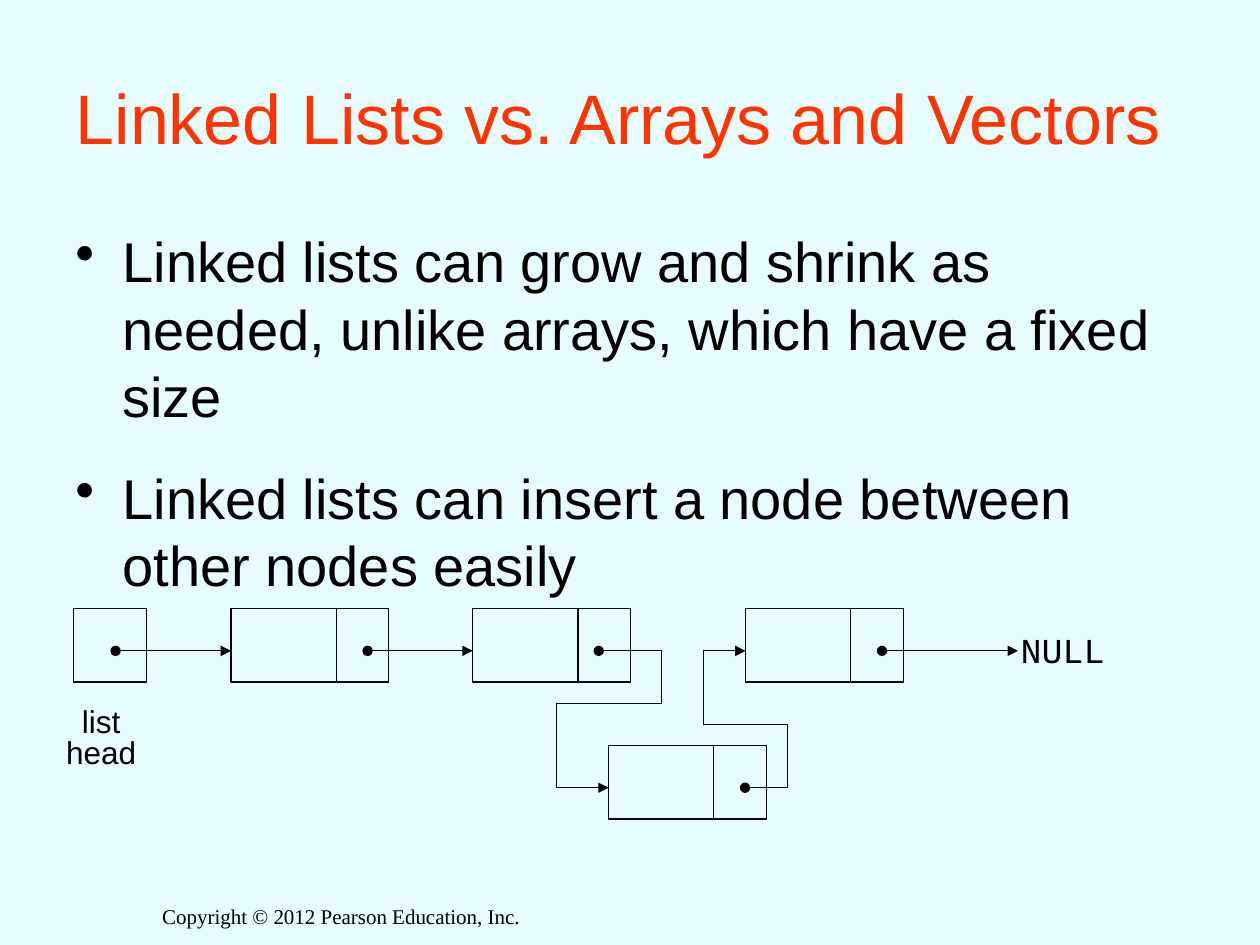
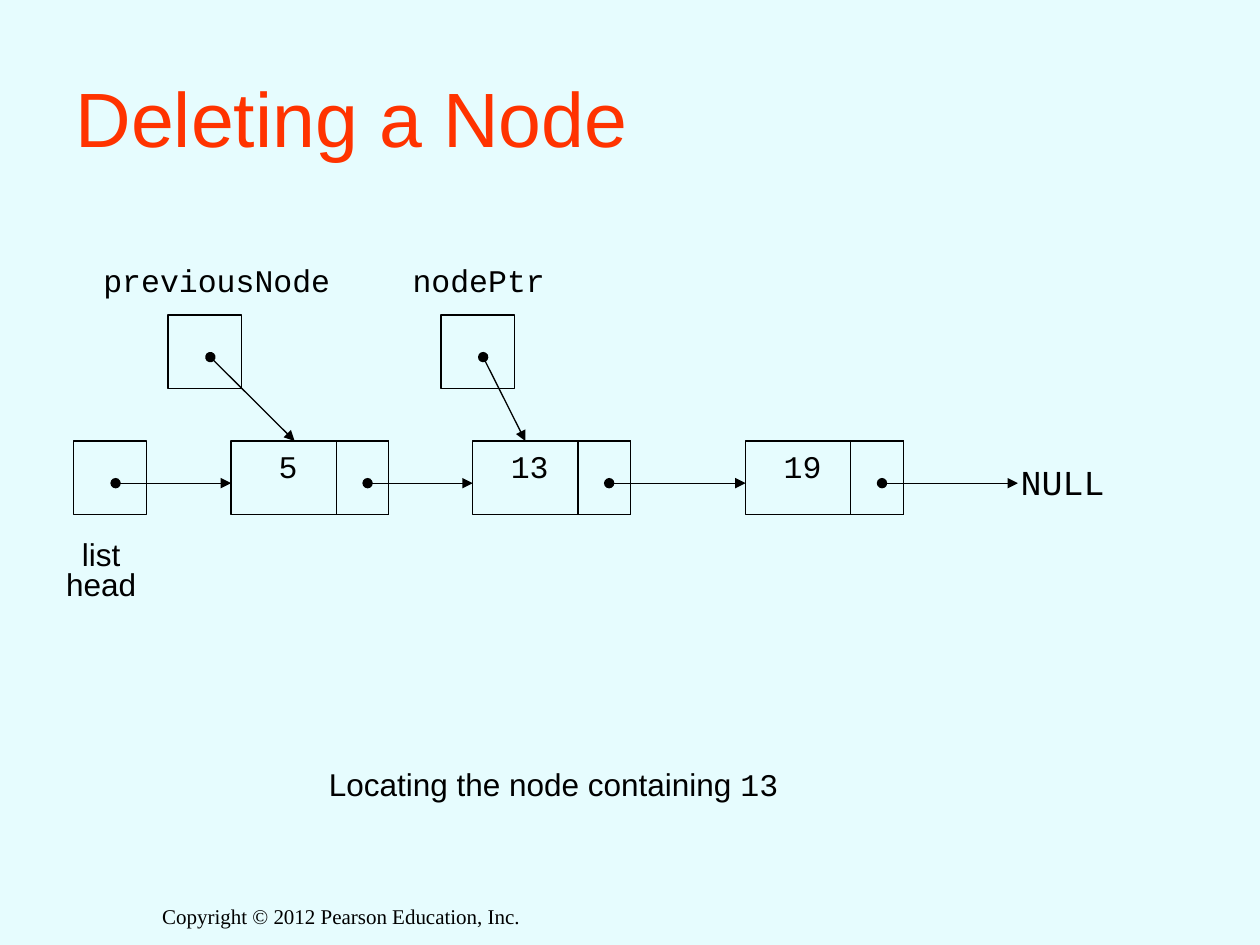
import itertools

import pptx
import pptx.dml.color
import pptx.enum.shapes
import pptx.enum.text
import pptx.oxml.ns
import pptx.util
from lxml import etree
from pptx.util import Cm

# Shared look
BACKGROUND, TITLE_COLOR, INK = "E6FCFE", "FF3300", "000000"
SANS, MONO, SERIF = "Arial", "Courier New", "Times New Roman"
LEFT = pptx.enum.text.PP_ALIGN.LEFT
CENTER = pptx.enum.text.PP_ALIGN.CENTER

# Node geometry in centimetres
CELL = 1.48             # height of every node, side of a pointer box
NODE_WIDTH = 3.18
DATA_WIDTH = 2.12
ARROW_DROP = 0.85       # from a node's top to its arrow
DOT_IN_BOX = 0.85
DOT_IN_NODE = 2.75
HEAD_LEFT = 1.48
NODE_LEFTS = [4.66, 9.53, 15.03]
NULL_LEFT = 20.32


def color(hex_string):
    return pptx.dml.color.RGBColor.from_string(hex_string)


def add_element(parent, tag, **attributes):
    return etree.SubElement(parent, pptx.oxml.ns.qn(tag), attributes)


def add_run(paragraph, text, size, font=SANS, hex_color=INK):
    run = paragraph.add_run()
    run.text = text
    run.font.size = pptx.util.Pt(size)
    run.font.name = font
    run.font.color.rgb = color(hex_color)


def add_label(slide, left, top, width, height, lines, size=18, font=SANS,
              align=CENTER, spacing=1.0, wrap=False):
    """Each line is a string, or a list of (text, font) runs."""
    frame = slide.shapes.add_textbox(Cm(left), Cm(top), Cm(width), Cm(height)).text_frame
    frame.word_wrap = wrap
    for index, line in enumerate(lines):
        paragraph = frame.add_paragraph() if index else frame.paragraphs[0]
        paragraph.alignment = align
        paragraph.line_spacing = spacing
        runs = [(line, font)] if isinstance(line, str) else line
        for text, run_font in runs:
            add_run(paragraph, text, size, run_font)
    return frame


def add_bullets(slide, left, top, width, height, items):
    frame = add_label(slide, left, top, width, height, items, size=32,
                      align=LEFT, wrap=True)
    for index, paragraph in enumerate(frame.paragraphs):
        if index:
            paragraph.space_before = pptx.util.Pt(20)
        properties = paragraph._p.get_or_add_pPr()
        properties.set("marL", str(Cm(0.95)))
        properties.set("indent", str(-Cm(0.95)))
        add_element(properties, "a:buChar", char="•")


def add_box(slide, left, top, width=CELL):
    box = slide.shapes.add_shape(pptx.enum.shapes.MSO_SHAPE.RECTANGLE,
                                 Cm(left), Cm(top), Cm(width), Cm(CELL))
    box.shadow.inherit = False
    box.fill.background()
    box.line.color.rgb = color(INK)
    box.line.width = pptx.util.Pt(0.75)


def add_node(slide, left, top, value=None):
    add_box(slide, left, top, NODE_WIDTH)
    add_box(slide, left + DATA_WIDTH, top, NODE_WIDTH - DATA_WIDTH)
    if value:
        add_label(slide, left + 0.09, top, DATA_WIDTH, 1.02, [value], font=MONO)


def add_arrow(slide, *points):
    """Line through the points, with a dot at the start and an arrowhead at the end."""
    segments = list(itertools.pairwise(points))
    for index, (start, end) in enumerate(segments):
        connector = slide.shapes.add_connector(
            pptx.enum.shapes.MSO_CONNECTOR.STRAIGHT, *map(Cm, start + end))
        connector.line.color.rgb = color(INK)
        connector.line.width = pptx.util.Pt(0.75)
        line = connector.line._get_or_add_ln()
        if index == 0:
            add_element(line, "a:headEnd", type="oval")
        if index == len(segments) - 1:
            add_element(line, "a:tailEnd", type="triangle")
        add_element(connector._element.spPr, "a:effectLst")


def add_list_row(slide, top, values):
    """List head, three nodes and NULL, with the arrows both diagrams share."""
    level = top + ARROW_DROP
    first, second, last = NODE_LEFTS
    add_box(slide, HEAD_LEFT, top)
    for left, value in zip(NODE_LEFTS, values):
        add_node(slide, left, top, value)
    add_arrow(slide, (HEAD_LEFT + DOT_IN_BOX, level), (first, level))
    add_arrow(slide, (first + DOT_IN_NODE, level), (second, level))
    add_arrow(slide, (last + DOT_IN_NODE, level), (NULL_LEFT + 0.2, level))
    add_label(slide, NULL_LEFT, top + 0.1, 2.21, 1.27, ["NULL"], size=20,
              font=MONO, spacing=1.2)
    add_label(slide, 0.79, top + 1.91, 2.5, 1.48, ["list", "head"], spacing=0.8)


def add_pointer(slide, name, left, top, target, name_left):
    """Named pointer box with an arrow to the target point."""
    add_box(slide, left, top)
    add_arrow(slide, (left + DOT_IN_BOX, top + ARROW_DROP), target)
    add_label(slide, name_left, top - 1.06, 5.08, 0.86, [name], font=MONO, spacing=0.8)


def add_titled_slide(presentation, title, size):
    slide = presentation.slides.add_slide(presentation.slide_layouts.get_by_name("Title Only"))
    shape = slide.shapes.title
    shape.left, shape.top, shape.width, shape.height = map(Cm, (1.27, 0.76, 22.86, 3.18))
    shape.text_frame.vertical_anchor = pptx.enum.text.MSO_ANCHOR.MIDDLE
    paragraph = shape.text_frame.paragraphs[0]
    paragraph.alignment = LEFT
    add_run(paragraph, title, size, hex_color=TITLE_COLOR)
    add_label(slide, 2.75, 18.08, 8.26, 0.8, ["Copyright © 2012 Pearson Education, Inc."],
              size=12, font=SERIF, wrap=True)
    return slide


def build_comparison(presentation):
    slide = add_titled_slide(presentation, "Linked Lists vs. Arrays and Vectors", 40)
    add_bullets(slide, 1.27, 4.45, 23.06, 7.82, [
        "Linked lists can grow and shrink as needed, unlike arrays, which have a fixed size",
        "Linked lists can insert a node between other nodes easily",
    ])
    top = 12.27
    add_list_row(slide, top, [None] * 3)

    # Inserted node, with arrows bent around it
    inserted_left, inserted_top = 12.27, 15.03
    add_node(slide, inserted_left, inserted_top)
    level, inserted_level = top + ARROW_DROP, inserted_top + ARROW_DROP
    _, second, last = NODE_LEFTS
    add_arrow(slide, (second + 2.54, level), (13.34, level), (13.34, 14.18),
              (11.22, 14.18), (11.22, inserted_level), (inserted_left, inserted_level))
    add_arrow(slide, (inserted_left + DOT_IN_NODE, inserted_level), (15.88, inserted_level),
              (15.88, 14.6), (14.18, 14.6), (14.18, level), (last, level))


def build_deletion(presentation):
    slide = add_titled_slide(presentation, "Deleting a Node", 44)
    top = 8.89
    add_list_row(slide, top, ["5", "13", "19"])
    _, second, last = NODE_LEFTS
    level = top + ARROW_DROP
    add_arrow(slide, (second + DOT_IN_NODE, level), (last, level))

    # Traversal pointers and caption
    add_pointer(slide, "previousNode", 3.39, 6.35, (5.94, top), name_left=1.83)
    add_pointer(slide, "nodePtr", 8.89, 6.35, (10.59, top), name_left=7.11)
    add_label(slide, 6.38, 15.29, 11, 1.02,
              [[("Locating the node containing ", SANS), ("13", MONO)]],
              align=LEFT, wrap=True)


def main():
    presentation = pptx.Presentation()
    presentation.slide_width, presentation.slide_height = Cm(25.4), Cm(19.05)
    background = presentation.slide_master.background.fill
    background.solid()
    background.fore_color.rgb = color(BACKGROUND)
    build_comparison(presentation)
    build_deletion(presentation)
    presentation.save("out.pptx")


if __name__ == "__main__":
    main()
